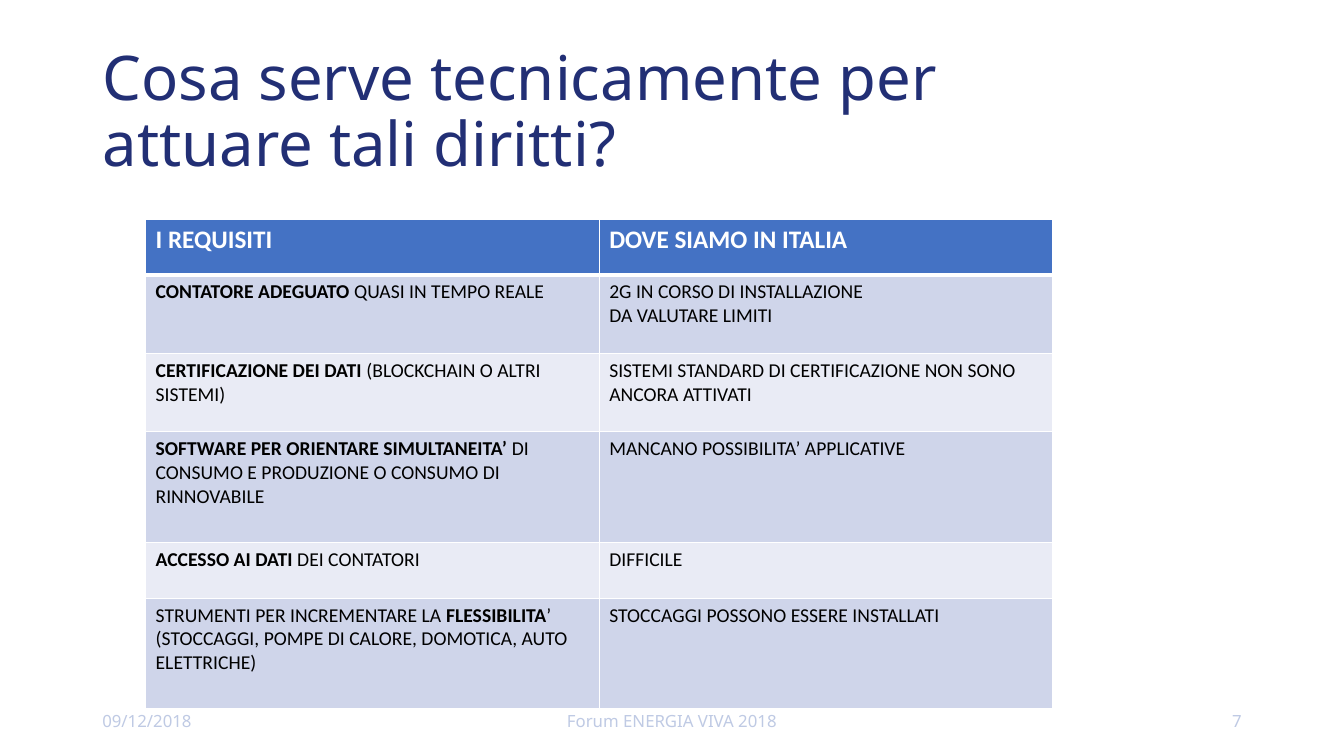
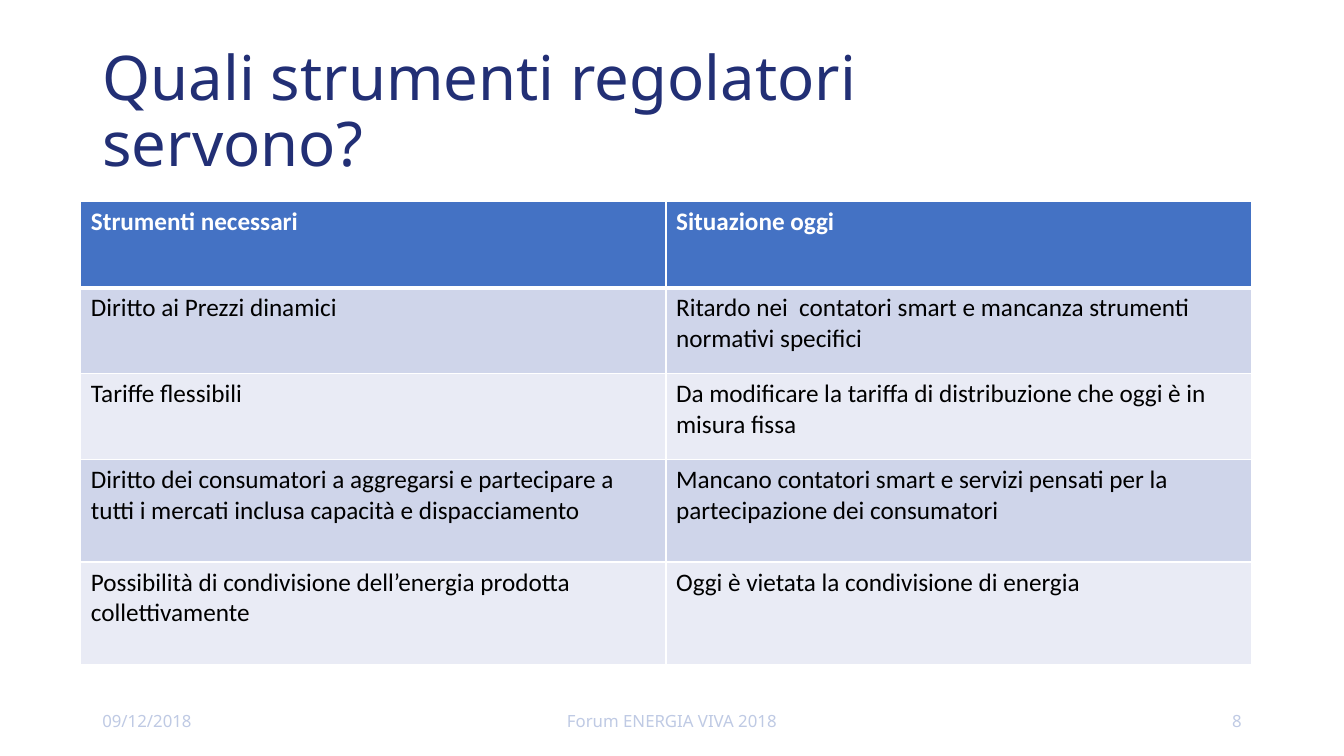
"""Builds two slides on the rights of energy consumers, each with a table."""
import lxml.etree
import pptx
import pptx.dml.color
import pptx.enum.text
import pptx.oxml.ns
import pptx.util

Pt = pptx.util.Pt
RGB = pptx.dml.color.RGBColor
ALIGN = pptx.enum.text.PP_ALIGN
MIDDLE = pptx.enum.text.MSO_ANCHOR.MIDDLE
NO_FIT = pptx.enum.text.MSO_AUTO_SIZE.NONE

NAVY = RGB(0x22, 0x2F, 0x75)
PALE = RGB(0xBF, 0xCA, 0xE4)
BLUE = RGB(0x44, 0x72, 0xC4)
WHITE = RGB(0xFF, 0xFF, 0xFF)
BLACK = RGB(0, 0, 0)
BANDS = [RGB(0xE9, 0xEB, 0xF5), RGB(0xCF, 0xD5, 0xEA)]
SANS, BODY = "Noto Sans", "Calibri"

TITLE_BOX = (66, 28.75, 680.5, 104.5)
DATE, EVENT = "09/12/2018", "Forum ENERGIA VIVA 2018"
FOOT_TOP, FOOT_HIGH = 500.5, 28.75

SLIDES = [
    {
        "title": "Cosa serve tecnicamente per attuare tali diritti?",
        "number": "7",
        "at": (104, 156.5), "width": 324, "size": 14,
        "heights": [40, 56, 56, 79, 40, 79],
        "rows": [
            ("I REQUISITI", "DOVE SIAMO IN ITALIA"),
            ("*CONTATORE ADEGUATO* QUASI IN TEMPO REALE",
             "2G IN CORSO DI INSTALLAZIONE\nDA VALUTARE LIMITI"),
            ("*CERTIFICAZIONE DEI DATI* (BLOCKCHAIN O ALTRI SISTEMI)",
             "SISTEMI STANDARD DI CERTIFICAZIONE NON SONO ANCORA ATTIVATI"),
            ("*SOFTWARE PER ORIENTARE SIMULTANEITA’* DI CONSUMO E PRODUZIONE "
             "O CONSUMO DI RINNOVABILE",
             "MANCANO POSSIBILITA’ APPLICATIVE"),
            ("*ACCESSO AI DATI* DEI CONTATORI", "DIFFICILE"),
            ("STRUMENTI PER INCREMENTARE LA *FLESSIBILITA*’ (STOCCAGGI, "
             "POMPE DI CALORE, DOMOTICA, AUTO ELETTRICHE)",
             "STOCCAGGI POSSONO ESSERE INSTALLATI"),
        ],
    },
    {
        "title": "Quali strumenti regolatori servono?",
        "number": "8",
        "at": (57.75, 144), "width": 418, "size": 18,
        "heights": [61.5, 61.5, 61.5, 73, 73],
        "rows": [
            ("Strumenti necessari", "Situazione oggi"),
            ("Diritto ai Prezzi dinamici",
             "Ritardo nei  contatori smart e mancanza strumenti normativi "
             "specifici"),
            ("Tariffe flessibili",
             "Da modificare la tariffa di distribuzione che oggi è in misura "
             "fissa"),
            ("Diritto dei consumatori a aggregarsi e partecipare a tutti i "
             "mercati inclusa capacità e dispacciamento",
             "Mancano contatori smart e servizi pensati per la partecipazione "
             "dei consumatori"),
            ("Possibilità di condivisione dell’energia prodotta "
             "collettivamente",
             "Oggi è vietata la condivisione di energia"),
        ],
    },
]


def write(frame, text, size, color, font=BODY, bold=False, align=ALIGN.LEFT,
          space=1.0):
    """Fills a frame, one paragraph a line; parts between asterisks are bold."""
    frame.word_wrap = True
    for row, line in enumerate(text.split("\n")):
        para = frame.add_paragraph() if row else frame.paragraphs[0]
        para.alignment, para.line_spacing = align, space
        for part, words in enumerate(line.split("*")):
            if words:
                run = para.add_run()
                run.text = words
                run.font.size, run.font.name = Pt(size), font
                run.font.bold = bold or part % 2 == 1
                run.font.color.rgb = color


def edge(cell, top, base):
    """Draws white borders round a cell."""
    props = cell._tc.get_or_add_tcPr()
    name = pptx.oxml.ns.qn
    for side, wide in (("L", 1), ("R", 1), ("T", top), ("B", base)):
        line = lxml.etree.SubElement(props, name("a:ln" + side),
                                     w=str(Pt(wide)))
        fill = lxml.etree.SubElement(line, name("a:solidFill"))
        lxml.etree.SubElement(fill, name("a:srgbClr"), val=str(WHITE))


def add_grid(slide, data):
    """Adds the two-column table with a header and banded rows."""
    rows, heights, width = data["rows"], data["heights"], data["width"]
    left, top = data["at"]
    grid = slide.shapes.add_table(
        len(rows), 2, Pt(left), Pt(top), Pt(2 * width), Pt(sum(heights))).table
    for column in grid.columns:
        column.width = Pt(width)
    for row, texts in enumerate(rows):
        grid.rows[row].height = Pt(heights[row])
        head = row == 0
        for col, text in enumerate(texts):
            cell = grid.cell(row, col)
            edge(cell, 3 if row == 1 else 1, 3 if head else 1)
            cell.fill.solid()
            cell.fill.fore_color.rgb = BLUE if head else BANDS[row % 2]
            write(cell.text_frame, text, 18 if head else data["size"],
                  WHITE if head else BLACK, bold=head)


def add_foot(slide, number):
    """Adds the date, the event and the slide number."""
    for left, width, text, align in (
            (66, 216, DATE, ALIGN.LEFT),
            (318, 324, EVENT, ALIGN.CENTER),
            (678, 216, number, ALIGN.RIGHT)):
        box = slide.shapes.add_textbox(
            Pt(left), Pt(FOOT_TOP), Pt(width), Pt(FOOT_HIGH))
        box.text_frame.vertical_anchor = MIDDLE
        write(box.text_frame, text, 12, PALE, font=SANS, align=align)


def add_title(slide, text):
    """Places and fills the title."""
    title = slide.shapes.title
    title.left, title.top, title.width, title.height = map(Pt, TITLE_BOX)
    title.text_frame.auto_size = NO_FIT
    title.text_frame.vertical_anchor = MIDDLE
    write(title.text_frame, text, 44, NAVY, font=SANS, space=0.9)


def main():
    """Builds and saves the deck."""
    deck = pptx.Presentation()
    deck.slide_width, deck.slide_height = Pt(960), Pt(540)
    for data in SLIDES:
        slide = deck.slides.add_slide(deck.slide_layouts[5])
        add_title(slide, data["title"])
        add_grid(slide, data)
        add_foot(slide, data["number"])
    deck.save("out.pptx")


if __name__ == "__main__":
    main()
